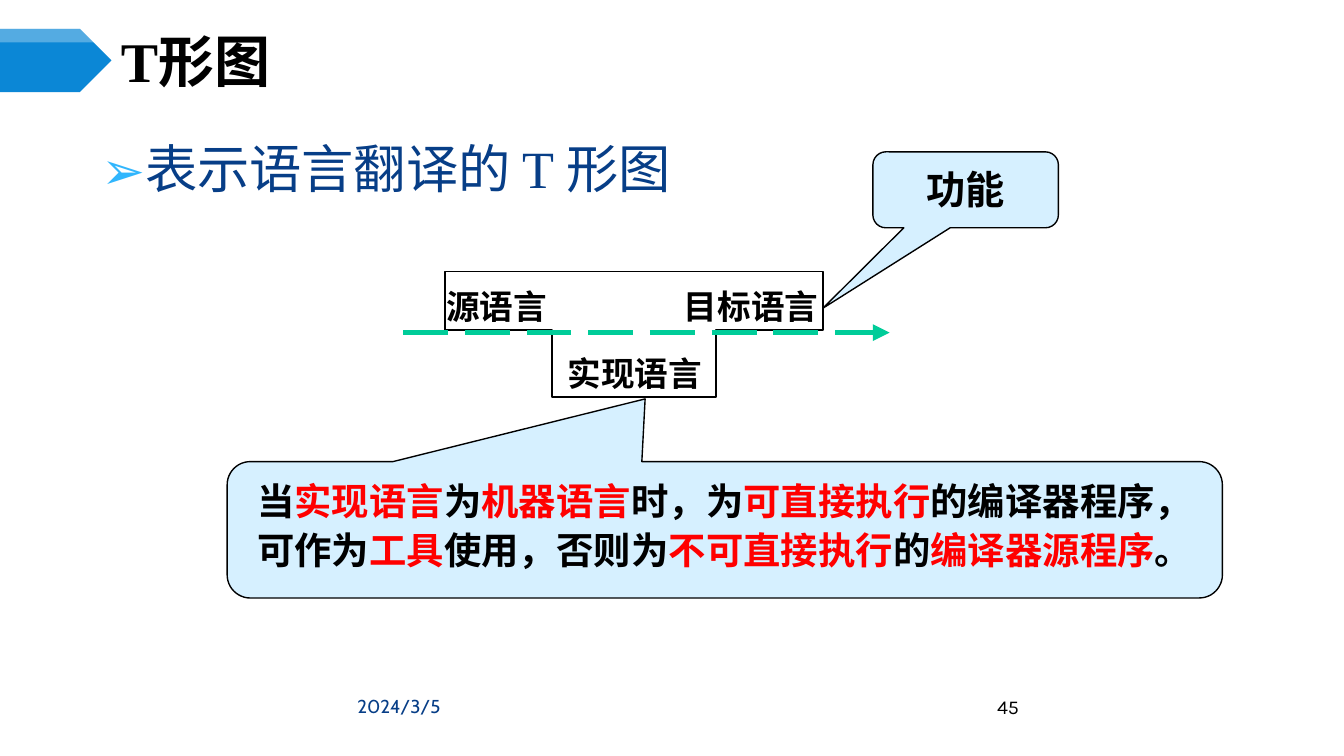
from dataclasses import dataclass
from typing import Any

import pptx
import pptx.dml.color
import pptx.enum.dml
import pptx.enum.shapes
import pptx.enum.text
import pptx.oxml
import pptx.oxml.ns
import pptx.util

RGBColor = pptx.dml.color.RGBColor
ALIGN = pptx.enum.text.PP_ALIGN
ANCHOR = pptx.enum.text.MSO_ANCHOR
SHAPE = pptx.enum.shapes.MSO_SHAPE

BLACK = RGBColor(0x00, 0x00, 0x00)
WHITE = RGBColor(0xFF, 0xFF, 0xFF)
RED = RGBColor(0xFF, 0x00, 0x00)
NAVY = RGBColor(0x07, 0x3E, 0x87)
SKY = RGBColor(0x31, 0xB6, 0xFD)
BLUE = RGBColor(0x0B, 0x87, 0xD6)
PALE_BLUE = RGBColor(0xD6, 0xF0, 0xFF)
GREEN = RGBColor(0x00, 0xCC, 0x99)

SERIF = "Times New Roman"
SANS = "Noto Sans CJK SC"
PX = 4572  # 200 px to the inch


@dataclass
class Style:
    size: float
    font: str = SERIF
    color: RGBColor = BLACK
    bold: bool = False
    align: Any = ALIGN.LEFT
    line_spacing: float = 1.0


@dataclass
class Label:
    at: tuple[int, int, int, int]
    text: str
    style: Style
    grow: bool = False


@dataclass
class Callout:
    at: tuple[int, int, int, int]
    adjustments: tuple[float, float, float]
    spans: list[tuple[str, RGBColor]]
    style: Style


def emu(lengths: tuple[int, ...]) -> list[int]:
    return [pptx.util.Emu(length * PX) for length in lengths]


def add_xml(parent: Any, tag: str, **attributes: str) -> Any:
    child = pptx.oxml.parse_xml(f"<a:{tag} {pptx.oxml.ns.nsdecls('a')}/>")
    for name, value in attributes.items():
        child.set(name, value)
    parent.append(child)
    return child


def set_values(target: Any, values: dict[str, Any]) -> None:
    for name, value in values.items():
        setattr(target, name, value)


def write(frame: Any, spans: list[tuple[str, RGBColor]], style: Style) -> None:
    para = frame.paragraphs[0]
    set_values(para, {"alignment": style.align, "line_spacing": style.line_spacing})
    for text, color in spans:
        span = para.add_run()
        span.text = text
        set_values(span.font, {"size": pptx.util.Pt(style.size), "name": style.font,
                               "bold": style.bold})
        span.font.color.rgb = color
        add_xml(span.font._element, "ea", typeface=SANS)


def set_frame(frame: Any, anchor: Any = ANCHOR.TOP) -> None:
    set_values(frame, {"word_wrap": True, "vertical_anchor": anchor,
                       "margin_left": 16 * PX, "margin_right": 16 * PX,
                       "margin_top": 8 * PX, "margin_bottom": 8 * PX})


def add_label(slide: Any, label: Label) -> Any:
    box = slide.shapes.add_textbox(*emu(label.at))
    box.text_frame.word_wrap = True
    if label.grow:
        box.text_frame.auto_size = pptx.enum.text.MSO_AUTO_SIZE.SHAPE_TO_FIT_TEXT
    write(box.text_frame, [(label.text, label.style.color)], label.style)
    return box


def add_filled(slide: Any, kind: Any, at: tuple[int, int, int, int], fill: RGBColor) -> Any:
    shape = slide.shapes.add_shape(kind, *emu(at))
    shape.shadow.inherit = False
    shape.fill.solid()
    shape.fill.fore_color.rgb = fill
    shape.line.fill.background()
    return shape


def set_line(line: Any, color: RGBColor, width: float) -> None:
    line.color.rgb = color
    line.width = pptx.util.Pt(width)


def add_callout(slide: Any, callout: Callout) -> None:
    shape = add_filled(slide, SHAPE.ROUNDED_RECTANGULAR_CALLOUT, callout.at, PALE_BLUE)
    for index, value in enumerate(callout.adjustments):
        shape.adjustments[index] = value
    set_line(shape.line, BLACK, 0.75)
    set_frame(shape.text_frame)
    write(shape.text_frame, callout.spans, callout.style)


FOOTERS = [
    Label((325, 1024, 350, 78), "2024/3/5", Style(10, "Cabin", NAVY, align=ALIGN.RIGHT)),
    Label((1325, 1024, 350, 78), "45", Style(10.5, "Karla", align=ALIGN.CENTER)),
]
HEADING = Label((135, 194, 1276, 124), "表示语言翻译的 T 形图",
                Style(28, color=NAVY, align=ALIGN.JUSTIFY))
T_POINTS = [(662, 404), (662, 491), (822, 491), (822, 591),
            (1066, 591), (1066, 491), (1225, 491), (1225, 404)]
T_LABELS = [
    Label((644, 416, 250, 80), "源语言", Style(18, bold=True), grow=True),
    Label((825, 516, 246, 80), "实现语言", Style(18, SANS, bold=True), grow=True),
    Label((998, 416, 252, 80), "目标语言", Style(18, bold=True), grow=True),
]
CALLOUTS = [
    Callout((1299, 226, 276, 113), (-0.77, 1.56, 0.17), [("功能", BLACK)],
            Style(21, bold=True, align=ALIGN.CENTER, line_spacing=1.1)),
    Callout((338, 687, 1481, 203), (-0.08, -0.96, 0.17),
            [("当", BLACK), ("实现语言", RED), ("为", BLACK), ("机器语言", RED),
             ("时，为", BLACK), ("可直接执行", RED), ("的编译器程序，可作为", BLACK),
             ("工具", RED), ("使用，否则为", BLACK), ("不可直接执行", RED),
             ("的", BLACK), ("编译器源程序", RED), ("。", BLACK)],
            Style(20, SANS, bold=True, align=ALIGN.CENTER, line_spacing=1.1)),
]


def main() -> None:
    deck = pptx.Presentation()
    deck.slide_width, deck.slide_height = emu((2000, 1125))
    slide = deck.slides.add_slide(deck.slide_layouts[5])

    # Title
    title = slide.shapes.title
    set_values(title, dict(zip(("left", "top", "width", "height"), emu((164, 6, 350, 166)))))
    set_frame(title.text_frame, ANCHOR.MIDDLE)
    write(title.text_frame, [("T形图", BLACK)], Style(30, bold=True))

    # Date and slide number
    for footer in FOOTERS:
        add_label(slide, footer)

    # Bulleted heading
    heading = add_label(slide, HEADING)
    set_frame(heading.text_frame)
    properties = heading.text_frame.paragraphs[0]._p.get_or_add_pPr()
    properties.set("marL", str(60 * PX))
    properties.set("indent", str(-60 * PX))
    add_xml(add_xml(properties, "buClr"), "srgbClr", val=str(SKY))
    add_xml(properties, "buFont", typeface=SANS)
    add_xml(properties, "buChar", char="➢")

    # T diagram
    builder = slide.shapes.build_freeform(*T_POINTS[0], scale=PX)
    builder.add_line_segments(T_POINTS[1:], close=True)
    outline = builder.convert_to_shape()
    outline.shadow.inherit = False
    outline.fill.background()
    set_line(outline.line, BLACK, 1)
    for label in T_LABELS:
        add_label(slide, label)

    # Translation arrow
    arrow = slide.shapes.add_connector(pptx.enum.shapes.MSO_CONNECTOR.STRAIGHT,
                                       *emu((600, 495, 1324, 495)))
    set_line(arrow.line, GREEN, 3)
    arrow.line.dash_style = pptx.enum.dml.MSO_LINE.LONG_DASH
    add_xml(arrow.line._get_or_add_ln(), "tailEnd", type="triangle")
    add_xml(arrow._element.spPr, "effectLst")

    # Explanations
    for callout in CALLOUTS:
        add_callout(slide, callout)

    # Title marker with a lighter top band
    add_filled(slide, SHAPE.PENTAGON, (0, 43, 166, 94), BLUE)
    band = add_filled(slide, SHAPE.PENTAGON, (0, 43, 166, 20), WHITE)
    add_xml(band.fill._xPr.solidFill.srgbClr, "alpha", val="30000")

    deck.save("out.pptx")


if __name__ == "__main__":
    main()
